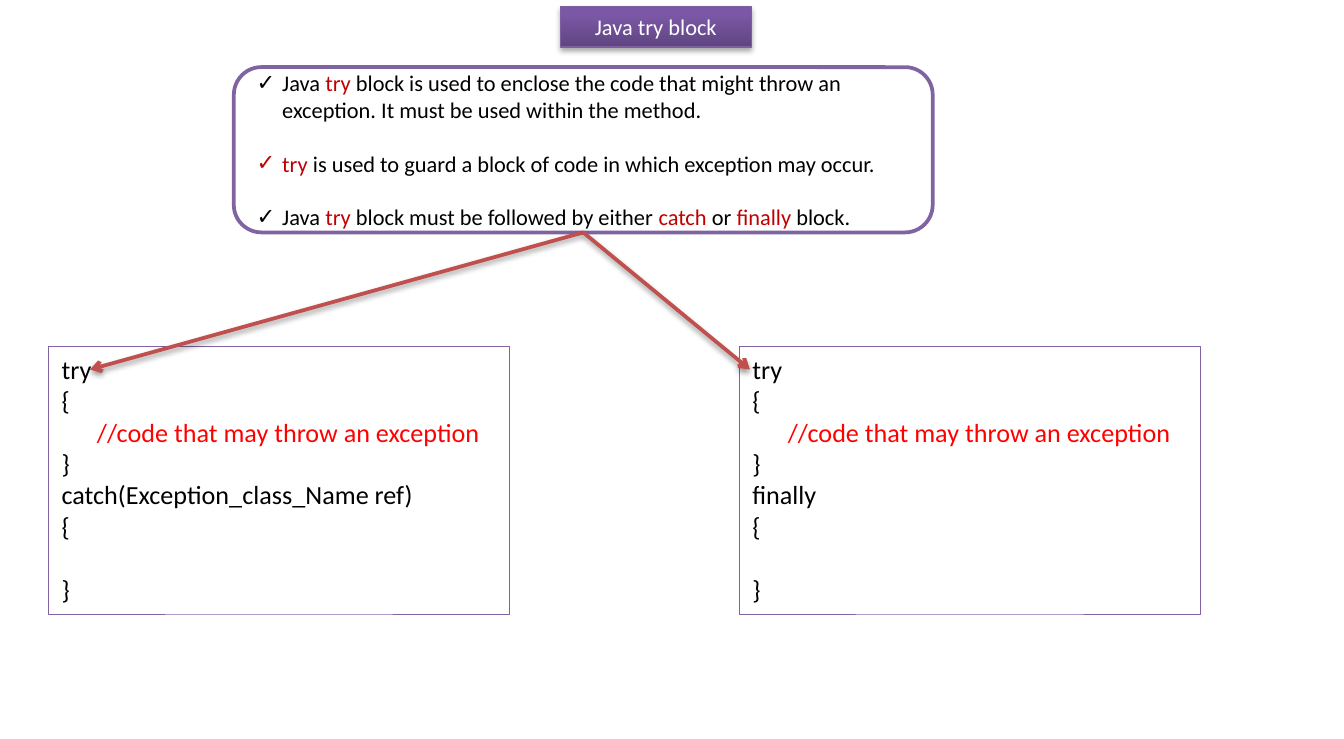
"""Build the slide on the Java try block and its two forms."""
from dataclasses import dataclass

from lxml import etree
from pptx import Presentation
from pptx import util as u
from pptx.dml.color import RGBColor
from pptx.enum import shapes, text
from pptx.oxml import ns

BLACK = RGBColor(0x00, 0x00, 0x00)
WHITE = RGBColor(0xFF, 0xFF, 0xFF)
RED = RGBColor(0xFF, 0x00, 0x00)
KEYWORD = RGBColor(0xC0, 0x00, 0x00)
PURPLE = RGBColor(0x80, 0x64, 0xA2)
TITLE_EDGE = RGBColor(0x7D, 0x60, 0xA0)
TITLE_DARK = RGBColor(0x5F, 0x44, 0x80)
TITLE_LIGHT = RGBColor(0x7B, 0x58, 0xA6)
ARROW = RGBColor(0xC0, 0x50, 0x4D)


@dataclass(frozen=True)
class CodeForm:
    left: float
    handler: str
    arrow_x: float


CODE_TOP, ARROW_Y = 2.58, 2.75
CODE_FORMS = (
    CodeForm(0.36, "catch(Exception_class_Name ref)", 0.67),
    CodeForm(5.5, "finally", 5.58),
)
RULES = (
    (("Java ", BLACK), ("try", KEYWORD),
     (" block is used to enclose the code that might throw an exception. "
      "It must be used within the method.", BLACK)),
    (("try ", KEYWORD),
     ("is used to guard a block of code in which exception may occur.", BLACK)),
    (("Java ", BLACK), ("try", KEYWORD), (" block must be followed by either ", BLACK),
     ("catch", KEYWORD), (" or ", BLACK), ("finally", KEYWORD), (" block.", BLACK)),
)


def write(paragraph, wording: str, *, size: float, color: RGBColor) -> None:
    """Add a run with its format."""
    run = paragraph.add_run()
    run.text = wording
    run.font.name = "Calibri"
    run.font.size = u.Pt(size)
    run.font.color.rgb = color


def place(shape, left: float, top: float, width: float, height: float) -> None:
    """Move and size a placeholder."""
    shape.left, shape.top = u.Inches(left), u.Inches(top)
    shape.width, shape.height = u.Inches(width), u.Inches(height)


def paragraphs(frame, count: int) -> list:
    """Return the first paragraph of a frame and as many more as needed."""
    return [frame.paragraphs[0]] + [frame.add_paragraph() for _ in range(count - 1)]


def add_shadow(properties, opacity: int, distance: float) -> None:
    """Add a soft downward shadow."""
    effects = etree.SubElement(properties, ns.qn("a:effectLst"))
    shadow = etree.SubElement(
        effects, ns.qn("a:outerShdw"), blurRad=str(u.Pt(3.1)),
        dist=str(u.Pt(distance)), dir="5400000", rotWithShape="0")
    black = etree.SubElement(shadow, ns.qn("a:srgbClr"), val="000000")
    etree.SubElement(black, ns.qn("a:alpha"), val=str(opacity * 1000))


def add_panel(slide, preset, left: float, top: float, width: float, height: float,
              line_width: float):
    """Draw a white panel with a purple edge."""
    panel = slide.shapes.add_shape(
        preset, u.Inches(left), u.Inches(top), u.Inches(width), u.Inches(height))
    panel.shadow.inherit = False
    panel.fill.solid()
    panel.fill.fore_color.rgb = WHITE
    panel.line.color.rgb = PURPLE
    panel.line.width = u.Pt(line_width)
    return panel


def format_title(title) -> None:
    """Turn the title placeholder into a purple banner."""
    place(title, 4.17, 0.05, 1.42, 0.3)
    title.fill.gradient()
    title.fill.gradient_angle = 90
    for stop, color, position in zip(
            title.fill.gradient_stops, (TITLE_DARK, TITLE_LIGHT), (0, 0.8)):
        stop.color.rgb = color
        stop.position = position
    title.line.color.rgb = TITLE_EDGE
    title.line.width = u.Pt(0.75)
    add_shadow(title.element.spPr, 35, 1.8)
    frame = title.text_frame
    frame.auto_size = text.MSO_AUTO_SIZE.NONE
    write(frame.paragraphs[0], "Java try block", size=12, color=WHITE)


def format_rules(body) -> None:
    """Fill the body placeholder with the checked rules."""
    place(body, 1.81, 0.5, 5.06, 1.23)
    frame = body.text_frame
    frame.word_wrap = True
    frame.auto_size = text.MSO_AUTO_SIZE.NONE
    frame.vertical_anchor = text.MSO_ANCHOR.MIDDLE
    frame.margin_top = frame.margin_bottom = 0
    for number, (paragraph, rule) in enumerate(zip(paragraphs(frame, len(RULES)), RULES)):
        properties = paragraph._p.get_or_add_pPr()
        properties.set("marL", str(u.Inches(0.19)))
        properties.set("indent", str(u.Inches(-0.19)))
        etree.SubElement(properties, ns.qn("a:buChar"), char="✓")
        paragraph.space_before = u.Pt(14.4 if number else 0)
        for wording, color in rule:
            write(paragraph, wording, size=12, color=color)


def add_code(slide, form: CodeForm) -> None:
    """Draw a code box with its try block and handler."""
    box = add_panel(slide, shapes.MSO_SHAPE.RECTANGLE, form.left, CODE_TOP, 3.43, 1.99, 0.5)
    frame = box.text_frame
    frame.word_wrap = True
    frame.vertical_anchor = text.MSO_ANCHOR.TOP
    comment = "      //code that may throw an exception"
    lines = ("try", "{", comment, "}", form.handler, "{", "}")
    code = paragraphs(frame, len(lines))
    for paragraph, line in zip(code, lines):
        paragraph.alignment = text.PP_ALIGN.LEFT
        write(paragraph, line, size=14, color=RED if line == comment else BLACK)
    code[-1].space_before = u.Pt(17)


def add_arrow(slide, rules_panel, form: CodeForm) -> None:
    """Point from the rules to a code form."""
    arrow = slide.shapes.add_connector(
        shapes.MSO_CONNECTOR.STRAIGHT, u.Inches(4.34), u.Inches(1.73),
        u.Inches(form.arrow_x), u.Inches(ARROW_Y))
    arrow.begin_connect(rules_panel, 2)
    arrow.line.color.rgb = ARROW
    arrow.line.width = u.Pt(2)
    etree.SubElement(arrow.line._get_or_add_ln(), ns.qn("a:tailEnd"), type="arrow")
    add_shadow(arrow._element.spPr, 38, 1.6)


def main() -> None:
    """Build and save the slide."""
    deck = Presentation()
    deck.slide_width, deck.slide_height = u.Inches(10), u.Inches(5.5)
    slide = deck.slides.add_slide(deck.slide_layouts[1])
    title, body = slide.placeholders
    format_title(title)
    for form in CODE_FORMS:
        add_code(slide, form)
    rules_panel = add_panel(
        slide, shapes.MSO_SHAPE.ROUNDED_RECTANGLE, 1.74, 0.5, 5.2, 1.23, 2)
    format_rules(body)
    slide.shapes._spTree.append(body.element)
    for form in CODE_FORMS:
        add_arrow(slide, rules_panel, form)
    deck.save("out.pptx")


if __name__ == "__main__":
    main()
